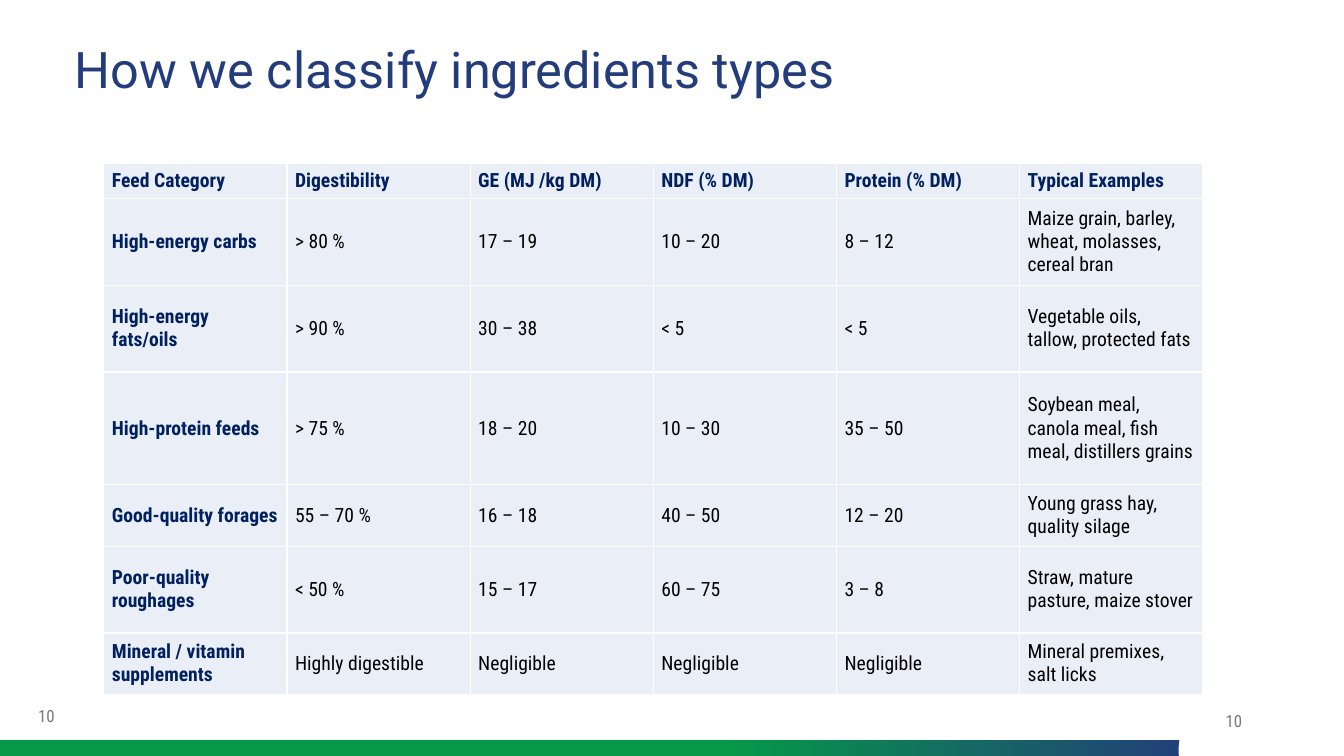
from lxml import etree
from pptx import Presentation
from pptx.dml.color import RGBColor
from pptx.enum.shapes import MSO_SHAPE
from pptx.enum.text import MSO_ANCHOR, MSO_AUTO_SIZE, PP_ALIGN
from pptx.oxml.ns import qn
from pptx.util import Inches, Pt

RECTANGLE, OVAL = MSO_SHAPE.RECTANGLE, MSO_SHAPE.OVAL
TOP, MIDDLE = MSO_ANCHOR.TOP, MSO_ANCHOR.MIDDLE
LEFT, RIGHT = PP_ALIGN.LEFT, PP_ALIGN.RIGHT
NO_AUTOFIT = MSO_AUTO_SIZE.NONE

TITLE = "How we classify ingredients types"
PAGE_NUMBER = "10"
FEEDS = [
    ("Feed Category", "Digestibility", "GE (MJ /kg DM)", "NDF (% DM)", "Protein (% DM)", "Typical Examples"),
    ("High-energy carbs", "> 80 %", "17 – 19", "10 – 20", "8 – 12",
     "Maize grain, barley, wheat, molasses, cereal bran"),
    ("High-energy fats/oils", "> 90 %", "30 – 38", "< 5", "< 5", "Vegetable oils, tallow, protected fats"),
    ("High-protein feeds", "> 75 %", "18 – 20", "10 – 30", "35 – 50",
     "Soybean meal, canola meal, fish meal, distillers grains"),
    ("Good-quality forages", "55 – 70 %", "16 – 18", "40 – 50", "12 – 20", "Young grass hay, quality silage"),
    ("Poor-quality roughages", "< 50 %", "15 – 17", "60 – 75", "3 – 8", "Straw, mature pasture, maize stover"),
    ("Mineral / vitamin supplements", "Highly digestible", "Negligible", "Negligible", "Negligible",
     "Mineral premixes, salt licks"),
]
ROW_HEIGHTS = (0.35, 0.86, 0.86, 1.12, 0.61, 0.86, 0.61)
COLORS = {"blue": "233C7B", "green": "059948", "navy": "002060", "black": "000000",
          "gray": "797979", "cell": "EAEFF7", "white": "FFFFFF"}
TITLE_FONT, BODY_FONT = "Roboto", "Roboto Condensed"
SLIDE_WIDTH, SLIDE_HEIGHT = 13.33, 7.5
TABLE_LEFT, TABLE_TOP, TABLE_WIDTH = 1.03, 1.62, 10.9
BAR_WIDTH, BAR_HEIGHT, NOTCH = 11.95, 0.16, 1.14
NUMBER_BOXES = [(9.42, 6.95, 3, 0.4), (0, 6.9, 0.64, 0.4)]


def rgb(name):
    return RGBColor.from_string(COLORS[name])


def write(frame, text, font=BODY_FONT, size=14, color="black", bold=False, align=LEFT, spacing=1.0):
    para = frame.paragraphs[0]
    para.alignment, para.line_spacing = align, spacing
    span = para.add_run()
    span.text = text
    span.font.name, span.font.size, span.font.bold = font, Pt(size), bold
    span.font.color.rgb = rgb(color)


def place(shape, left, top, width, height):
    shape.left, shape.top = Inches(left), Inches(top)
    shape.width, shape.height = Inches(width), Inches(height)


def add_plain_shape(page, kind, *area):
    shape = page.shapes.add_shape(kind, *map(Inches, area))
    shape.shadow.inherit = False
    shape.line.fill.background()
    return shape


def add_footer(page):
    bar = add_plain_shape(page, RECTANGLE, 0, SLIDE_HEIGHT - BAR_HEIGHT, BAR_WIDTH, BAR_HEIGHT)
    bar.fill.gradient()
    bar.fill.gradient_angle = 180
    for stop, (position, color) in zip(bar.fill.gradient_stops, [(0, "blue"), (0.4, "green")]):
        stop.position, stop.color.rgb = position, rgb(color)
    notch = add_plain_shape(page, OVAL, 11.69, 6.87, NOTCH, NOTCH)
    notch.fill.solid()
    notch.fill.fore_color.rgb = rgb("white")
    for area in NUMBER_BOXES:
        box = page.shapes.add_textbox(*map(Inches, area))
        box.text_frame.word_wrap = True
        box.text_frame.vertical_anchor = MIDDLE
        write(box.text_frame, PAGE_NUMBER, size=12, color="gray", align=RIGHT)


def set_borders(cell):
    properties = cell._tc.get_or_add_tcPr()
    for index, side in enumerate(("lnL", "lnR", "lnT", "lnB")):
        border = etree.Element(qn(f"a:{side}"), w=str(Pt(1)))
        fill = etree.SubElement(border, qn("a:solidFill"))
        etree.SubElement(fill, qn("a:srgbClr"), val=COLORS["white"])
        properties.insert(index, border)


def add_feed_table(page):
    area = (TABLE_LEFT, TABLE_TOP, TABLE_WIDTH, sum(ROW_HEIGHTS))
    table = page.shapes.add_table(len(FEEDS), len(FEEDS[0]), *map(Inches, area)).table
    for column in table.columns:
        column.width = Inches(TABLE_WIDTH / len(FEEDS[0]))
    for r, (feed, height) in enumerate(zip(FEEDS, ROW_HEIGHTS)):
        table.rows[r].height = Inches(height)
        for c, text in enumerate(feed):
            cell = table.cell(r, c)
            heading = r == 0 or c == 0
            cell.fill.solid()
            cell.fill.fore_color.rgb = rgb("cell")
            cell.vertical_anchor = MIDDLE
            cell.margin_left = cell.margin_right = Inches(0.08)
            cell.margin_top = cell.margin_bottom = Inches(0.04)
            write(cell.text_frame, text, color="navy" if heading else "black", bold=heading)
            set_borders(cell)


def main():
    deck = Presentation()
    deck.slide_width, deck.slide_height = Inches(SLIDE_WIDTH), Inches(SLIDE_HEIGHT)
    page = deck.slides.add_slide(deck.slide_layouts[5])
    title = page.shapes.title
    place(title, 0.64, 0.4, 12.01, 1.45)
    title.text_frame.auto_size = NO_AUTOFIT
    title.text_frame.vertical_anchor = TOP
    write(title.text_frame, TITLE, font=TITLE_FONT, size=36, color="blue", spacing=0.9)
    add_footer(page)
    add_feed_table(page)
    deck.save("out.pptx")


if __name__ == "__main__":
    main()
